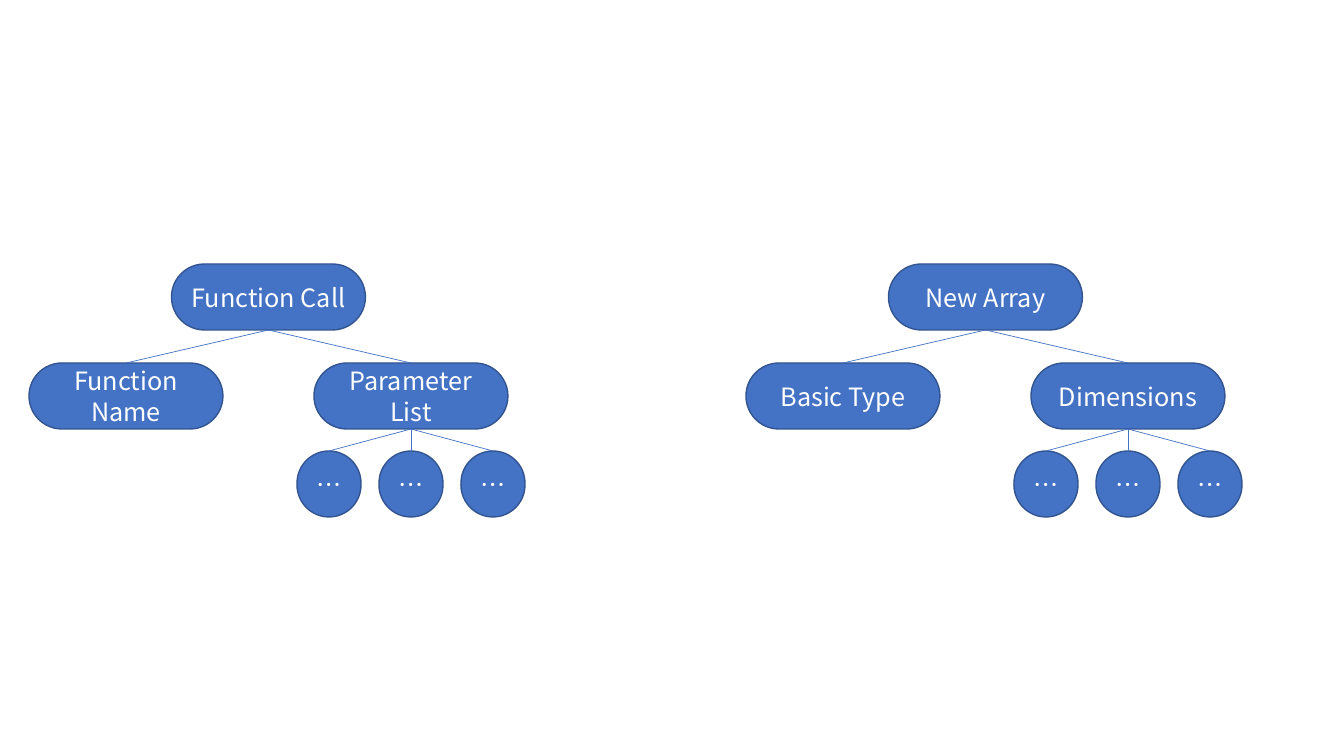
from lxml import etree
from pptx import Presentation
from pptx import util as u
from pptx.dml.color import RGBColor
from pptx.enum import shapes, text
from pptx.oxml.ns import qn

PX = 9071.43  # EMU per px, at 100.8 px to the inch
FONT = "Noto Sans CJK SC"
BLUE, OUTLINE, WHITE = "4472C4", "325491", "FFFFFF"
NODE_W, NODE_H, LEAF_W = 194, 66, 64
CHILD_SPREAD, LEAF_PITCH = 285, 82
CHILD_TOP, LEAF_TOP = 99, 187


def px(length):
    return u.Emu(round(length * PX))


def paint(target, color):
    target.rgb = RGBColor.from_string(color)


def add_node(page, label, center, top, width=NODE_W):
    box = page.shapes.add_shape(
        shapes.MSO_SHAPE.ROUNDED_RECTANGLE,
        px(center - width / 2), px(top), px(width), px(NODE_H))
    box.adjustments[0] = 0.5
    box.shadow.inherit = False
    box.fill.solid()
    paint(box.fill.fore_color, BLUE)
    paint(box.line.color, OUTLINE)
    box.line.width = u.Pt(1)
    frame = box.text_frame
    frame.word_wrap = True
    frame.vertical_anchor = text.MSO_ANCHOR.MIDDLE
    para = frame.paragraphs[0]
    para.text = label
    para.alignment = text.PP_ALIGN.CENTER
    para.font.size = u.Pt(18)
    para.font.name = FONT
    paint(para.font.color, WHITE)
    # The ellipsis takes its glyph from the East Asian font.
    defaults = para._p.pPr.find(qn("a:defRPr"))
    etree.SubElement(defaults, qn("a:ea")).set("typeface", FONT)
    return box


def link(page, parent, children):
    """Join the bottom of the parent to the top of each child."""
    for child in children:
        line = page.shapes.add_connector(shapes.MSO_CONNECTOR.STRAIGHT, 0, 0, 0, 0)
        line.begin_connect(parent, 2)
        line.end_connect(child, 0)
        paint(line.line.color, BLUE)
        line.line.width = u.Pt(0.5)
        etree.SubElement(line._element.spPr, qn("a:effectLst"))


def add_tree(page, left, top, root_label, child_labels):
    """Draw a root, its two children and three leaves under the second child."""
    first = left + NODE_W / 2
    second = first + CHILD_SPREAD
    root = add_node(page, root_label, (first + second) / 2, top)
    children = [add_node(page, label, center, top + CHILD_TOP)
                for label, center in zip(child_labels, (first, second))]
    leaves = [add_node(page, "…", second + step * LEAF_PITCH, top + LEAF_TOP, LEAF_W)
              for step in (-1, 0, 1)]
    link(page, root, children)
    link(page, children[1], leaves)


def main():
    deck = Presentation()
    deck.slide_width, deck.slide_height = px(1344), px(756)
    page = deck.slides.add_slide(deck.slide_layouts[6])
    add_tree(page, 29, 264, "Function Call", ("Function Name", "Parameter List"))
    add_tree(page, 746, 264, "New Array", ("Basic Type", "Dimensions"))
    deck.save("out.pptx")


if __name__ == "__main__":
    main()
